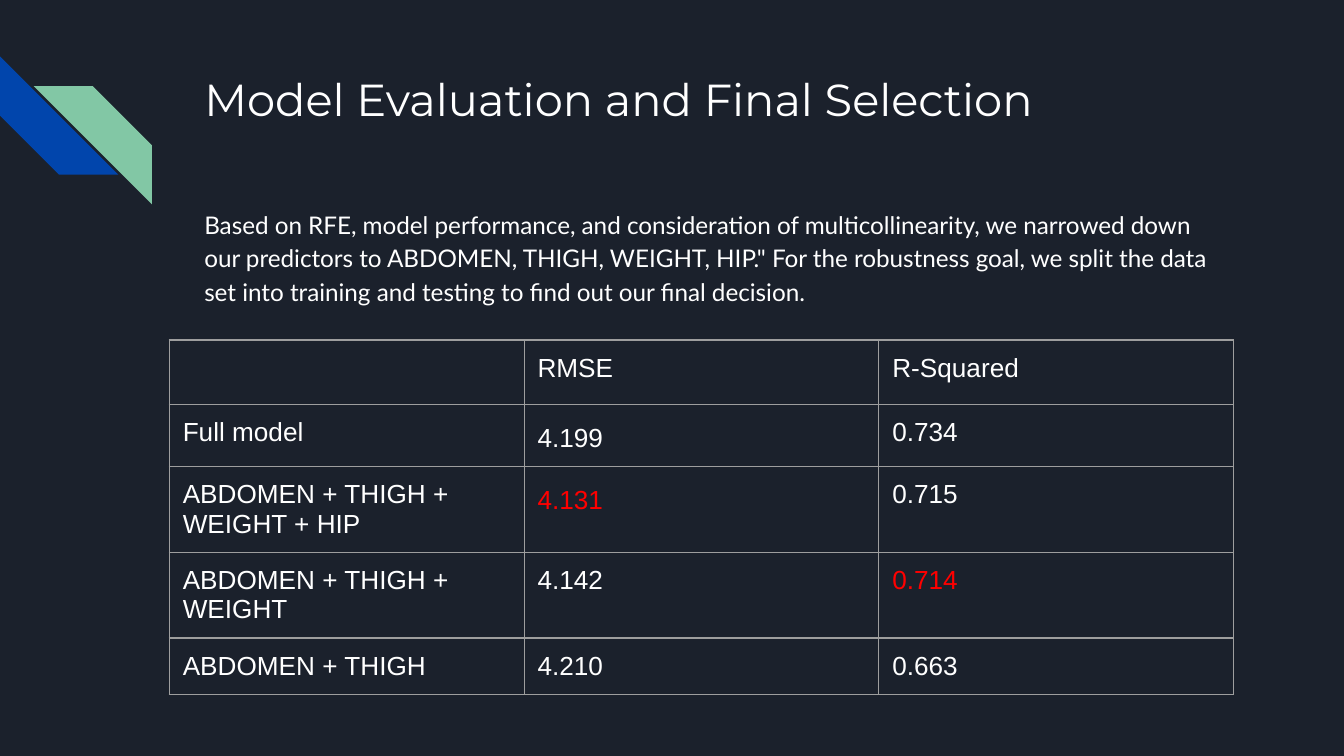
"""Build the model evaluation slide with its comparison table."""
from dataclasses import dataclass

from lxml.etree import SubElement
from pptx import Presentation
from pptx.dml.color import RGBColor
from pptx.enum.shapes import MSO_SHAPE
from pptx.enum.text import MSO_ANCHOR, MSO_AUTO_SIZE, PP_ALIGN
from pptx.oxml.ns import qn
from pptx.slide import Slide
from pptx.table import _Cell
from pptx.text.text import TextFrame, _Paragraph
from pptx.util import Inches, Pt


@dataclass(frozen=True)
class TextStyle:
    font: str
    size: float
    color: str
    line_spacing: float = 1.0


@dataclass(frozen=True)
class Theme:
    background: str = "1B212C"
    blue: str = "0145AC"
    green: str = "82C7A5"
    border: str = "9E9E9E"
    border_width: float = 0.75
    inset: float = 0.1
    title: TextStyle = TextStyle("Montserrat", 24, "FFFFFF")
    body: TextStyle = TextStyle("Lato", 13, "FFFFFF", 1.15)
    cell: TextStyle = TextStyle("Arial", 14, "FFFFFF")
    loose_cell: TextStyle = TextStyle("Arial", 14, "FFFFFF", 1.2)
    best: TextStyle = TextStyle("Arial", 14, "FF0000")
    loose_best: TextStyle = TextStyle("Arial", 14, "FF0000", 1.2)
    empty_cell: TextStyle = TextStyle("Arial", 18, "FFFFFF")


@dataclass(frozen=True)
class Stripe:
    left: float
    top: float
    rotation: int
    color: str


@dataclass(frozen=True)
class TextBlock:
    placeholder: int
    top: float
    height: float
    text: str
    style: TextStyle


@dataclass(frozen=True)
class ModelRow:
    model: str
    rmse: str
    r_squared: str
    rmse_style: TextStyle
    r_squared_style: TextStyle


THEME = Theme()
SLIDE_WIDTH = Inches(10)
SLIDE_HEIGHT = SLIDE_WIDTH * 9 // 16
STRIPE_SIZE = 0.88
STRIPES = (
    Stripe(0, 0.42, 270, THEME.blue),
    Stripe(0.25, 0.64, 90, THEME.green),
)
BLOCKS = (
    TextBlock(0, 0.43, 1, "Model Evaluation and Final Selection", THEME.title),
    TextBlock(
        1, 1.43, 3.18,
        "Based on RFE, model performance, and consideration of multicollinearity, "
        "we narrowed down our predictors to ABDOMEN, THIGH, WEIGHT, HIP.\" For the "
        "robustness goal, we split the data set into training and testing to find "
        "out our final decision.",
        THEME.body,
    ),
)
ROWS = (
    ModelRow("", "RMSE", "R-Squared", THEME.cell, THEME.cell),
    ModelRow("Full model", "4.199", "0.734", THEME.loose_cell, THEME.cell),
    ModelRow("ABDOMEN + THIGH + WEIGHT + HIP", "4.131", "0.715",
             THEME.loose_best, THEME.cell),
    ModelRow("ABDOMEN + THIGH + WEIGHT", "4.142", "0.714", THEME.cell, THEME.best),
    ModelRow("ABDOMEN + THIGH", "4.210", "0.663", THEME.cell, THEME.cell),
)
COLUMN_WIDTH = 2.64
COLUMN_COUNT = 3
ROW_HEIGHT = 0.42


def write(para: _Paragraph, text: str, style: TextStyle) -> None:
    """Add one styled run to a paragraph."""
    para.alignment = PP_ALIGN.LEFT
    para.line_spacing = style.line_spacing
    para.space_before = Pt(0)
    span = para.add_run()
    span.text = text
    span.font.name = style.font
    span.font.size = Pt(style.size)
    span.font.color.rgb = RGBColor.from_string(style.color)


def style_empty(para: _Paragraph, style: TextStyle) -> None:
    """Set the type size and font that an empty paragraph keeps."""
    ending = SubElement(para._p, qn("a:endParaRPr"), sz=str(style.size * 100))
    SubElement(ending, qn("a:latin"), typeface=style.font)


def set_insets(holder: TextFrame | _Cell) -> None:
    """Give a text frame or a cell equal insets."""
    holder.margin_left = holder.margin_right = Inches(THEME.inset)
    holder.margin_top = holder.margin_bottom = Inches(THEME.inset)


def draw_stripe(page: Slide, stripe: Stripe) -> None:
    """Draw one diagonal corner stripe."""
    size = Inches(STRIPE_SIZE)
    shape = page.shapes.add_shape(
        MSO_SHAPE.DIAGONAL_STRIPE, Inches(stripe.left), Inches(stripe.top), size, size
    )
    shape.rotation = stripe.rotation
    shape.shadow.inherit = False
    shape.fill.solid()
    shape.fill.fore_color.rgb = RGBColor.from_string(stripe.color)
    shape.line.fill.background()


def fill_placeholder(page: Slide, block: TextBlock) -> None:
    """Place and fill one text placeholder without a bullet."""
    box = page.placeholders[block.placeholder]
    box.left, box.top = Inches(1.42), Inches(block.top)
    box.width, box.height = Inches(7.7), Inches(block.height)
    frame = box.text_frame
    frame.word_wrap = True
    frame.auto_size = MSO_AUTO_SIZE.NONE
    frame.vertical_anchor = MSO_ANCHOR.TOP
    set_insets(frame)
    para = frame.paragraphs[0]
    write(para, block.text, block.style)
    properties = para._p.get_or_add_pPr()
    properties.set("marL", "0")
    properties.set("indent", "0")
    SubElement(properties, qn("a:buNone"))


def format_cell(cell: _Cell) -> None:
    """Clear a cell's fill and outline its four sides."""
    set_insets(cell)
    properties = cell._tc.get_or_add_tcPr()
    for side in ("lnL", "lnR", "lnT", "lnB"):
        line = SubElement(properties, qn(f"a:{side}"), w=str(Pt(THEME.border_width)))
        fill = SubElement(line, qn("a:solidFill"))
        SubElement(fill, qn("a:srgbClr"), val=THEME.border)
    cell.fill.background()


def draw_table(page: Slide, rows: tuple[ModelRow, ...]) -> None:
    """Draw the model comparison table."""
    table = page.shapes.add_table(
        len(rows), COLUMN_COUNT, Inches(1.26), Inches(2.53),
        Inches(COLUMN_WIDTH * COLUMN_COUNT), Inches(ROW_HEIGHT * len(rows)),
    ).table
    table.first_row = table.horz_banding = False
    for index, row in enumerate(rows):
        entries = (
            (row.model, THEME.cell),
            (row.rmse, row.rmse_style),
            (row.r_squared, row.r_squared_style),
        )
        for column_index, (text, style) in enumerate(entries):
            cell = table.cell(index, column_index)
            format_cell(cell)
            para = cell.text_frame.paragraphs[0]
            if text:
                write(para, text, style)
            else:
                style_empty(para, THEME.empty_cell)


def main() -> None:
    """Assemble and save the deck."""
    deck = Presentation()
    deck.slide_width, deck.slide_height = SLIDE_WIDTH, SLIDE_HEIGHT
    page = deck.slides.add_slide(deck.slide_layouts[1])
    page.background.fill.solid()
    page.background.fill.fore_color.rgb = RGBColor.from_string(THEME.background)
    for stripe in STRIPES:
        draw_stripe(page, stripe)
    for block in BLOCKS:
        fill_placeholder(page, block)
    draw_table(page, ROWS)
    deck.save("out.pptx")


if __name__ == "__main__":
    main()
